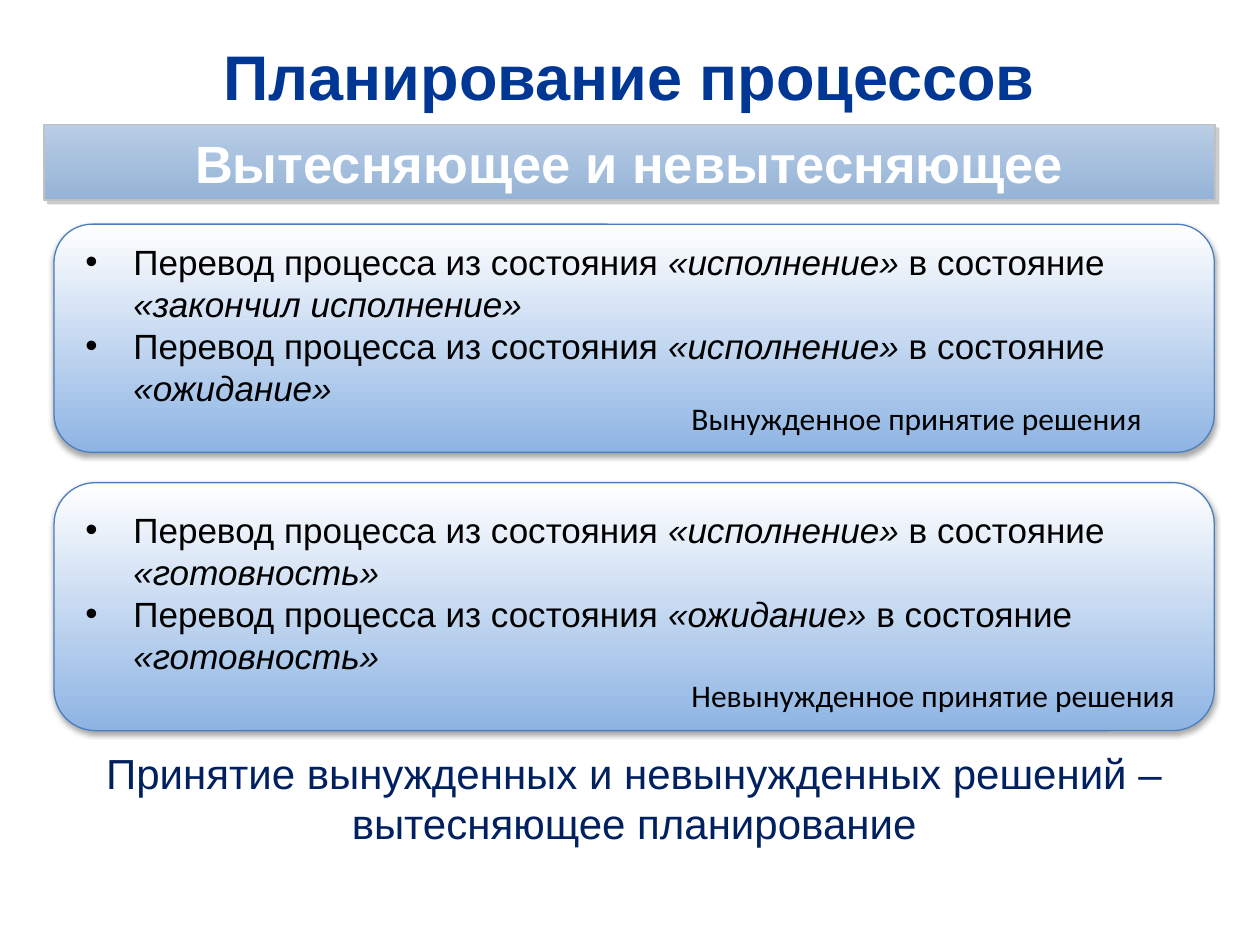
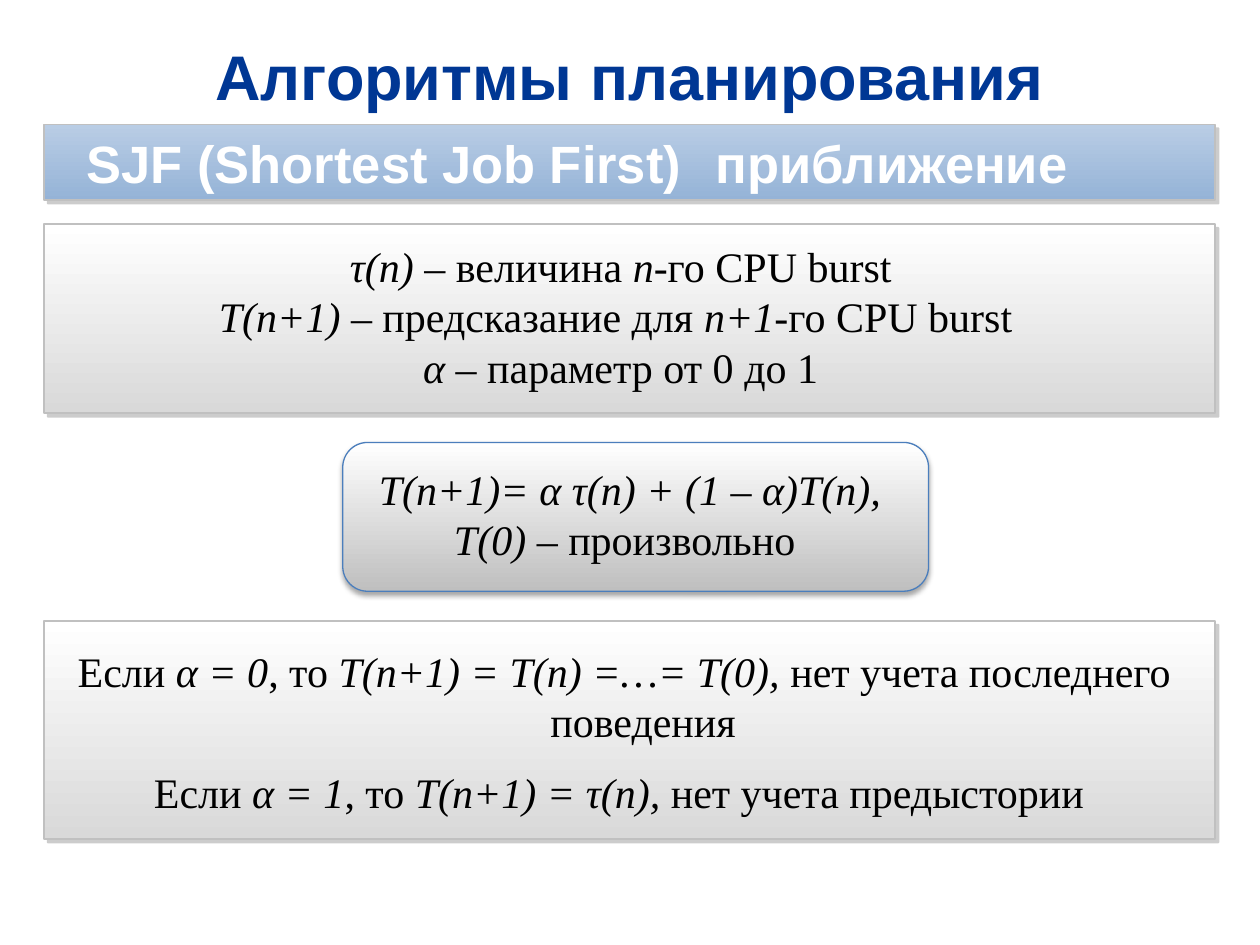
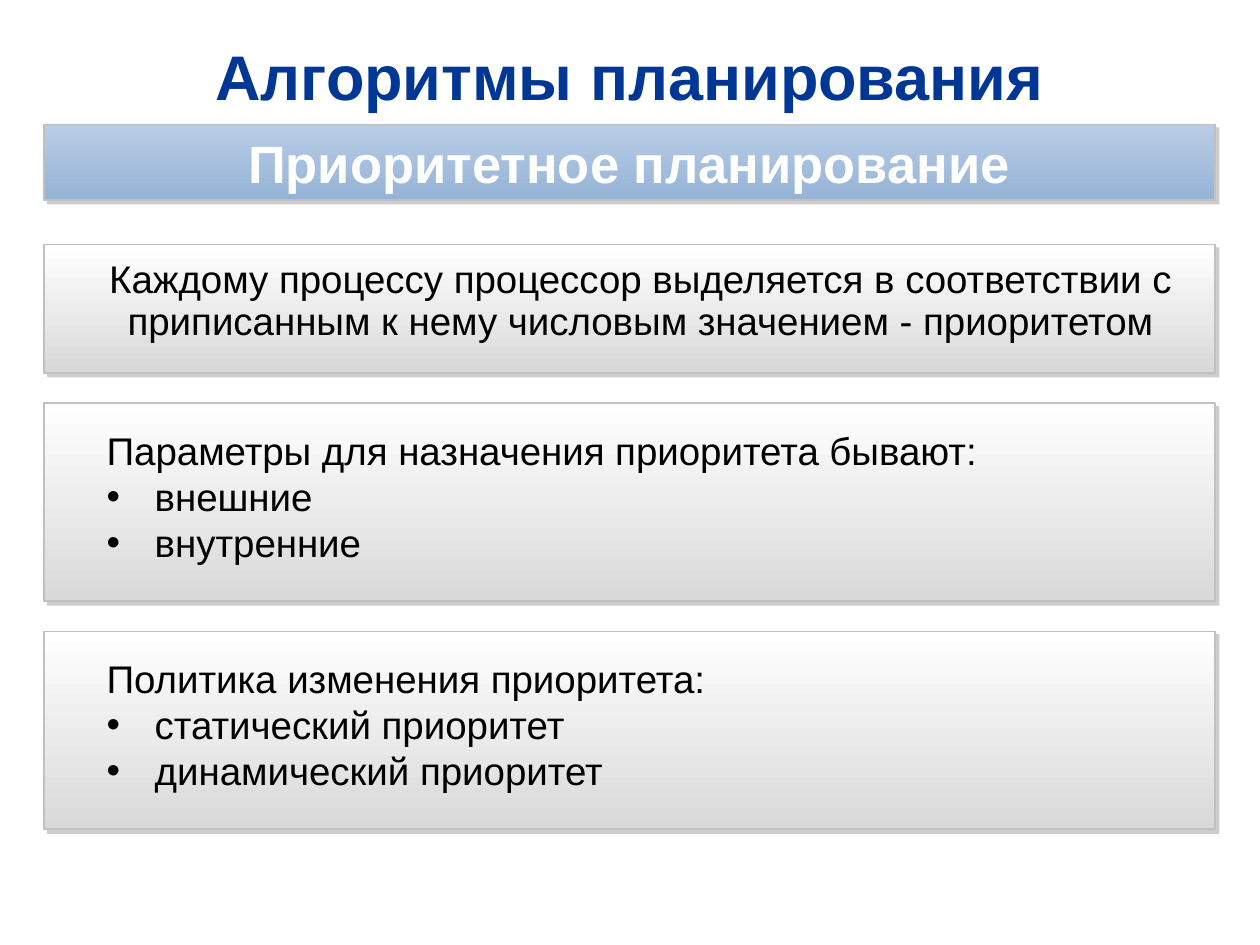
from lxml import etree
from pptx import Presentation
from pptx.dml.color import RGBColor
from pptx.enum import shapes, text
from pptx.oxml import ns
from pptx.util import Cm, Pt

NAVY = RGBColor(0x00, 0x37, 0x94)
DARK_BLUE = RGBColor(0x00, 0x20, 0x60)
BLACK = RGBColor(0x00, 0x00, 0x00)
WHITE = RGBColor(0xFF, 0xFF, 0xFF)
BAND_TOP = RGBColor(0xB9, 0xCD, 0xE5)
BAND_BOTTOM = RGBColor(0x95, 0xB3, 0xD7)
SKY = RGBColor(0x8E, 0xB4, 0xE3)
PALE_GREY = RGBColor(0xD9, 0xD9, 0xD9)
MID_GREY = RGBColor(0xBF, 0xBF, 0xBF)
SILVER = RGBColor(0xC0, 0xC0, 0xC0)
OUTLINE_BLUE = RGBColor(0x4B, 0x7E, 0xBC)

SANS, SERIF, LABEL = "Arial", "Times New Roman", "Calibri"
CENTER = text.PP_ALIGN.CENTER
LEFT, WIDTH = 0.89, 23.6
BAND_Y, BAND_HEIGHT = 2.51, 1.52
HANG = Cm(0.97)

# In every text, *...* is italic and a leading • makes a bullet.
# Decisions: card top, card height, text top, text width, label top, label width, label, changes
DECISIONS = [
    (4.52, 4.6, 4.72, 21.79, 7.92, 9.8, "Вынужденное принятие решения", [
        "•Перевод процесса из состояния *«исполнение»* в состояние *«закончил исполнение»*",
        "•Перевод процесса из состояния *«исполнение»* в состояние *«ожидание»*"]),
    (9.73, 5.0, 10.13, 22.43, 13.51, 10.39, "Невынужденное принятие решения", [
        "•Перевод процесса из состояния *«исполнение»* в состояние *«готовность»*",
        "•Перевод процесса из состояния *«ожидание»* в состояние *«готовность»*"]),
]
CONCLUSION = "Принятие вынужденных и невынужденных решений – вытесняющее планирование"

DEFINITIONS = [
    "*τ(n)* – величина *n*-го CPU burst",
    "*T(n+1)* – предсказание для *n+1*-го CPU burst ",
    "*α* – параметр от 0 до 1",
]
FORMULA = ["*T(n+1)= α τ(n) + (1 – α)T(n),*", "*T(0)* – произвольно "]
CASES = [
    "Если *α = 0*, то *T(n+1) = T(n) =…= T(0), *нет учета последнего поведения ",
    "Если *α = 1*, то *T(n+1) = τ(n),* нет учета предыстории ",
]

PRIORITY_RULE = ("Каждому процессу процессор выделяется в соответствии с "
                 "приписанным к нему числовым значением - приоритетом")
PRIORITY_LISTS = [
    (8.13, ["Параметры для назначения приоритета бывают:", "•внешние", "•внутренние"]),
    (12.73, ["Политика изменения приоритета:",
             "•статический приоритет", "•динамический приоритет"]),
]


def write(frame, lines, size, font=SANS, color=BLACK, bold=False, align=None,
          hanging=False, gap=0, line_spacing=None):
    for i, line in enumerate(lines):
        paragraph = frame.paragraphs[0] if i == 0 else frame.add_paragraph()
        paragraph.alignment = align
        paragraph.line_spacing = line_spacing
        if i and gap:
            paragraph.space_before = Pt(gap)
        if hanging:
            properties = paragraph._p.get_or_add_pPr()
            properties.set("marL", str(HANG))
            properties.set("indent", str(-HANG))
            if line.startswith("•"):
                etree.SubElement(properties, ns.qn("a:buFont"), typeface=SANS)
                etree.SubElement(properties, ns.qn("a:buChar"), char="•")
        for n, part in enumerate(line.removeprefix("•").split("*")):
            if part:
                run = paragraph.add_run()
                run.text = part
                run.font.size, run.font.name = Pt(size), font
                run.font.color.rgb = color
                run.font.bold, run.font.italic = bold, n % 2 == 1


def add_text(slide, box, lines, size, **style):
    frame = slide.shapes.add_textbox(*map(Cm, box)).text_frame
    frame.word_wrap = True
    frame.auto_size = text.MSO_AUTO_SIZE.SHAPE_TO_FIT_TEXT
    write(frame, lines, size, **style)
    return frame


def add_block(slide, kind, box, top_color, bottom_color, line, line_width, shadow):
    """Add a vertical-gradient shape; shadow is colour, opacity %, blur, distance, angle."""
    block = slide.shapes.add_shape(kind, *map(Cm, box))
    block.fill.gradient()
    block.fill.gradient_angle = 270
    for stop, color, position in zip(block.fill.gradient_stops,
                                     (top_color, bottom_color), (0, 1)):
        stop.color.rgb, stop.position = color, position
    block.line.color.rgb, block.line.width = line, Pt(line_width)
    block.shadow.inherit = False
    shade, opacity, blur, distance, angle = shadow
    effects = block._element.spPr.find(ns.qn("a:effectLst"))
    outer = etree.SubElement(effects, ns.qn("a:outerShdw"), blurRad=str(Pt(blur)),
                             dist=str(Pt(distance)), dir=str(angle * 60000),
                             rotWithShape="0")
    tint = etree.SubElement(outer, ns.qn("a:srgbClr"), val=shade)
    etree.SubElement(tint, ns.qn("a:alpha"), val=str(opacity * 1000))
    return block


def add_panel(slide, top, height, top_color=WHITE, bottom_color=PALE_GREY):
    return add_block(slide, shapes.MSO_SHAPE.RECTANGLE, (LEFT, top, WIDTH, height),
                     top_color, bottom_color, SILVER, 1, ("808080", 40, 0, 3, 45))


def add_card(slide, box, bottom_color):
    add_block(slide, shapes.MSO_SHAPE.ROUNDED_RECTANGLE, box, WHITE, bottom_color,
              OUTLINE_BLUE, 0.75, ("000000", 35, 3.1, 1.8, 90))


def start_slide(deck, title, subtitle=None):
    """Add a slide with its title and blue band."""
    slide = deck.slides.add_slide(deck.slide_layouts[6])
    heading = add_text(slide, (LEFT, 0.66, WIDTH, 1.73), [title], 36,
                       color=NAVY, bold=True, align=CENTER)
    heading.auto_size = text.MSO_AUTO_SIZE.NONE
    heading.vertical_anchor = text.MSO_ANCHOR.MIDDLE
    band = add_panel(slide, BAND_Y, BAND_HEIGHT, BAND_TOP, BAND_BOTTOM).text_frame
    if subtitle:
        band.word_wrap = True
        band.vertical_anchor = text.MSO_ANCHOR.MIDDLE
        band.margin_left = band.margin_right = Cm(0.6)
        band.margin_top = band.margin_bottom = Cm(0.1)
        write(band, [subtitle], 30, color=WHITE, bold=True, align=CENTER)
    return slide


def build_preemption(deck):
    slide = start_slide(deck, "Планирование процессов", "Вытесняющее и невытесняющее")
    for top, height, text_top, text_width, label_top, label_width, label, changes in DECISIONS:
        add_card(slide, (1.09, top, 23.39, height), SKY)
        add_text(slide, (1.47, text_top, text_width, 3.68), changes, 20, hanging=True)
        add_text(slide, (13.69, label_top, label_width, 1.02), [label], 18, font=LABEL)
    add_text(slide, (1.09, 14.94, 23.39, 2.31), [CONCLUSION], 24,
             color=DARK_BLUE, align=CENTER)


def build_shortest_job(deck):
    slide = start_slide(deck, "Алгоритмы планирования")
    for left, width, words in ((1.5, 12.8, "SJF (Shortest Job First)"),
                               (13.89, 9.6, " приближение")):
        add_text(slide, (left, BAND_Y, width, 1.55), [words], 30, color=WHITE, bold=True)
    math_style = dict(size=24, font=SERIF, align=CENTER)
    add_panel(slide, 4.52, 3.81)
    add_text(slide, (3.51, 4.72, 18.01, 3.33), DEFINITIONS, **math_style)
    add_card(slide, (6.91, 8.92, 11.81, 3), MID_GREY)
    add_text(slide, (6.35, 9.22, 12.7, 2.31), FORMULA, hanging=True, **math_style)
    add_panel(slide, 12.52, 4.39)
    add_text(slide, (LEFT, 12.88, 23.39, 3.84), CASES, hanging=True, gap=12, **math_style)


def build_priority(deck):
    slide = start_slide(deck, "Алгоритмы планирования", "Приоритетное планирование")
    add_panel(slide, 4.93, 2.59)
    add_text(slide, (0.71, 5.13, 24.41, 1.96), [PRIORITY_RULE], 22,
             align=CENTER, line_spacing=0.9)
    for top, lines in PRIORITY_LISTS:
        add_panel(slide, top, 3.99)
        add_text(slide, (1.9, top + 0.35, 21.79, 3.07), lines, 22, hanging=True)


def main():
    deck = Presentation()
    deck.slide_width, deck.slide_height = Cm(25.4), Cm(19.05)
    build_preemption(deck)
    build_shortest_job(deck)
    build_priority(deck)
    deck.save("out.pptx")


if __name__ == "__main__":
    main()
